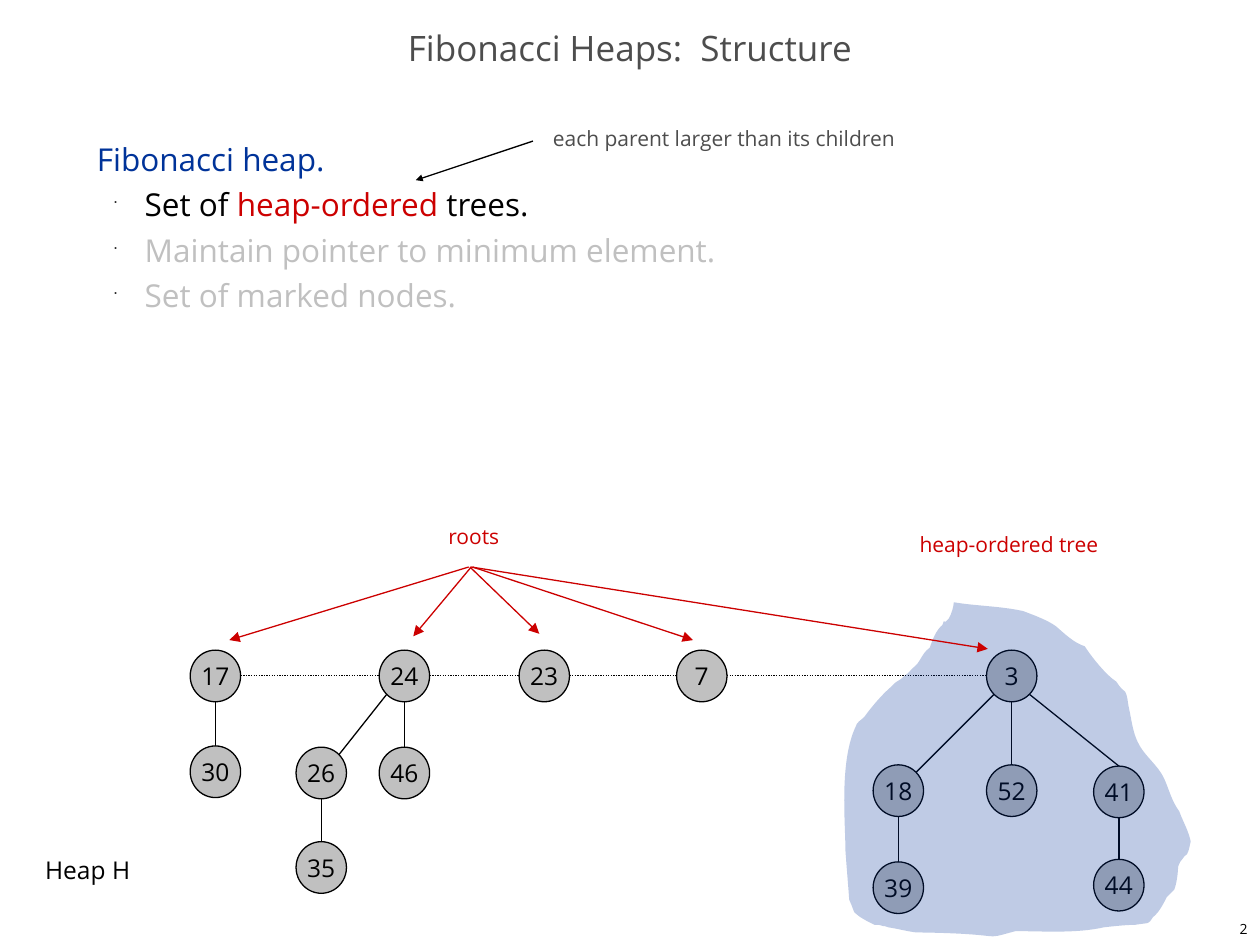
from lxml.etree import SubElement
from pptx import Presentation
from pptx.dml.color import RGBColor
from pptx.enum.dml import MSO_LINE
from pptx.enum.shapes import MSO_CONNECTOR, MSO_SHAPE
from pptx.enum.text import MSO_ANCHOR, MSO_AUTO_SIZE, PP_ALIGN
from pptx.oxml.ns import qn
from pptx.util import Pt

PX = 9144  # 100 px to the inch
FONT = "Open Sans"
BLACK, RED, BLUE, GREY, DARK = "000000", "CC0000", "003399", "C0C0C0", "4D4D4D"
NODE_W, NODE_H, INSET = 40, 41, 6

# key: (x, y, parent), relative to the forest's box; a root has no parent
NODES = {
    "17": (0, 0, None), "24": (150, 0, None), "23": (261, 0, None),
    "7": (386, 0, None), "3": (632, 0, None),
    "30": (0, 76, "17"), "26": (84, 77, "24"), "46": (150, 77, "24"),
    "35": (84, 152, "26"), "18": (542, 91, "3"), "52": (632, 91, "3"),
    "41": (717, 92, "3"), "39": (542, 168, "18"), "44": (717, 166, "41"),
}

# outline of the highlighted tree, relative to its box:
# a start, then two control points and an end for each curve
OUTLINE = [
    (91, 0),
    (109, 3), (128, 3), (146, 7), (154, 10), (165, 14), (172, 19),
    (179, 25), (186, 32), (195, 35), (200, 43), (212, 58), (220, 63),
    (221, 64), (221, 65), (222, 66), (223, 68), (225, 69), (227, 71),
    (229, 74), (229, 80), (230, 84), (232, 93), (233, 103), (237, 111),
    (242, 122), (253, 129), (258, 140), (262, 149), (264, 158), (270, 166),
    (272, 172), (275, 177), (277, 183), (278, 185), (279, 190), (279, 190),
    (278, 193), (278, 197), (276, 200), (275, 201), (273, 202), (273, 203),
    (271, 205), (270, 207), (269, 210), (269, 214), (268, 223), (266, 228),
    (265, 229), (264, 230), (263, 231), (262, 232), (261, 233), (260, 234),
    (257, 240), (254, 246), (249, 250), (245, 256), (247, 254), (235, 256),
    (226, 256), (210, 258), (210, 258), (188, 263), (161, 261), (140, 261),
    (110, 269), (139, 263), (61, 262), (53, 261), (46, 259), (39, 258),
    (37, 257), (36, 257), (35, 257), (33, 256), (31, 256), (28, 256),
    (22, 253), (16, 250), (12, 246), (9, 238), (10, 241), (8, 236),
    (7, 222), (6, 211), (5, 197), (5, 175), (0, 127), (13, 99),
    (14, 95), (17, 94), (20, 91), (25, 84), (31, 77), (37, 71),
    (47, 62), (41, 66), (49, 61), (51, 59), (55, 56), (55, 56),
    (58, 52), (62, 50), (64, 46), (67, 41), (68, 39), (72, 36),
    (74, 30), (77, 22), (82, 18), (85, 10), (81, 20), (87, 13),
    (89, 10), (91, 3), (91, 0),
]


def rgb(value):
    return RGBColor.from_string(value)


def add_run(p, text, size=14, color=BLACK):
    r = p.add_run()
    r.text = text
    r.font.size, r.font.name = Pt(size), FONT
    r.font.color.rgb = rgb(color)


def add_text(s, text, x, y, w, h, size=14, color=BLACK, align=PP_ALIGN.LEFT,
             anchor=MSO_ANCHOR.TOP, wrap=False, spacing=None):
    sp = s.shapes.add_textbox(x * PX, y * PX, w * PX, h * PX)
    tf = sp.text_frame
    tf.word_wrap, tf.vertical_anchor = wrap, anchor
    tf.auto_size = MSO_AUTO_SIZE.NONE if wrap else MSO_AUTO_SIZE.SHAPE_TO_FIT_TEXT
    p = tf.paragraphs[0]
    p.alignment, p.line_spacing = align, spacing
    add_run(p, text, size, color)
    return tf


def add_line(s, start, end, color=BLACK, dash=None, arrow=None):
    cx = s.shapes.add_connector(MSO_CONNECTOR.STRAIGHT,
                                *(v * PX for v in (*start, *end)))
    cx.line.color.rgb, cx.line.width = rgb(color), Pt(0.75)
    if dash:
        cx.line.dash_style = dash
    if arrow:
        ln = cx._element.spPr.find(qn("a:ln"))
        SubElement(ln, qn("a:tailEnd"), type="triangle", w=arrow, len=arrow)
    SubElement(cx._element.spPr, qn("a:effectLst"))


def add_node(s, key, x, y):
    sp = s.shapes.add_shape(MSO_SHAPE.OVAL, x * PX, y * PX,
                            NODE_W * PX, NODE_H * PX)
    sp.shadow.inherit = False
    sp.fill.solid()
    sp.fill.fore_color.rgb = rgb(GREY)
    sp.line.color.rgb, sp.line.width = rgb(BLACK), Pt(0.75)
    tf = sp.text_frame
    tf.word_wrap, tf.vertical_anchor = False, MSO_ANCHOR.MIDDLE
    p = tf.paragraphs[0]
    p.alignment = PP_ALIGN.CENTER
    add_run(p, key)


def add_bullet(p):
    pPr = p._p.get_or_add_pPr()
    pPr.set("marL", str(38 * PX))
    pPr.set("indent", str(-25 * PX))
    SubElement(SubElement(pPr, qn("a:buClr")), qn("a:srgbClr"), val=BLACK)
    SubElement(pPr, qn("a:buSzPct"), val="35000")
    SubElement(pPr, qn("a:buFont"), typeface="Wingdings")
    SubElement(pPr, qn("a:buChar"), char="■")


def definition(s, x, y, w, h):
    tf = add_text(s, "Fibonacci heap.", x, y, w, h, size=18, color=BLUE,
                  wrap=True, spacing=Pt(26))
    items = [
        [("Set of ", BLACK), ("heap-ordered", RED), (" trees.", BLACK)],
        [("Maintain pointer to minimum element.", GREY)],
        [("Set of marked nodes.", GREY)],
    ]
    for runs in items:
        p = tf.add_paragraph()
        p.level, p.line_spacing = 1, Pt(26)
        add_bullet(p)
        for text, color in runs:
            add_run(p, text, 18, color)


def forest(s, x, y):
    # dotted list of roots
    roots = [nx for nx, _, parent in NODES.values() if parent is None]
    for left, right in zip(roots, roots[1:]):
        add_line(s, (x + left + NODE_W, y + 20), (x + right, y + 20),
                 dash=MSO_LINE.ROUND_DOT)
    # edges from child to parent
    for nx, ny, parent in NODES.values():
        if parent is None:
            continue
        px, py, _ = NODES[parent]
        start, end = (nx + 20, ny), (px + 20, py + NODE_H)
        if nx < px:
            start = (nx + NODE_W - INSET, ny + INSET)
            end = (px + INSET, py + NODE_H - INSET)
        elif nx > px:
            end = (px + NODE_W - INSET, py + NODE_H - INSET)
        add_line(s, (x + start[0], y + start[1]), (x + end[0], y + end[1]))
    for key, (nx, ny, _) in NODES.items():
        add_node(s, key, x + nx, y + ny)


def tree_region(s, x, y):
    first, *rest = [((x + px) * PX, (y + py) * PX) for px, py in OUTLINE]
    fb = s.shapes.build_freeform(*first)
    fb.add_line_segments(rest, close=True)
    sp = fb.convert_to_shape()
    # turn every three line segments into one curve
    segments = list(sp._element.iter(qn("a:lnTo")))
    for i in range(0, len(segments), 3):
        curve = SubElement(segments[i].getparent(), qn("a:cubicBezTo"))
        segments[i].addprevious(curve)
        for segment in segments[i:i + 3]:
            curve.append(segment[0])
            segment.getparent().remove(segment)
    sp.shadow.inherit = False
    sp.fill.solid()
    sp.fill.fore_color.rgb = rgb(BLUE)
    clr = sp._element.spPr.find(qn("a:solidFill")).find(qn("a:srgbClr"))
    SubElement(clr, qn("a:alpha"), val="25000")
    sp.line.fill.background()


def root_arrows(s, x, y):
    add_text(s, "roots", x - 28, y - 39, 61, 30, size=12, color=RED)
    for start, dx, dy in [(-2, -192, 58), (0, -46, 55), (-1, 54, 53),
                          (1, 176, 58), (0, 410, 65)]:
        add_line(s, (x + start, y), (x + dx, y + dy), color=RED, arrow="med")


def main():
    prs = Presentation()
    prs.slide_width, prs.slide_height = 1000 * PX, 750 * PX
    s = prs.slides.add_slide(prs.slide_layouts[6])

    # heading and definition
    add_text(s, "Fibonacci Heaps:  Structure", 0, 17, 1000, 50, size=20,
             color=DARK, align=PP_ALIGN.CENTER, anchor=MSO_ANCHOR.MIDDLE,
             wrap=True, spacing=0.7)
    definition(s, 67, 100, 858, 592)

    # heap
    forest(s, 151, 516)
    add_text(s, "Heap H", 26, 674, 89, 33)
    tree_region(s, 666, 478)

    # annotations
    root_arrows(s, 374, 450)
    add_text(s, "heap-ordered tree", 720, 417, 165, 30, size=12, color=RED)
    add_text(s, "each parent larger than its children", 429, 95, 305, 30,
             size=12, color=DARK)
    add_line(s, (423, 112), (330, 143), arrow="sm")

    # slide number
    add_text(s, "2", 792, 725, 208, 25, size=8, align=PP_ALIGN.RIGHT,
             anchor=MSO_ANCHOR.MIDDLE, wrap=True)
    prs.save("out.pptx")


if __name__ == "__main__":
    main()
